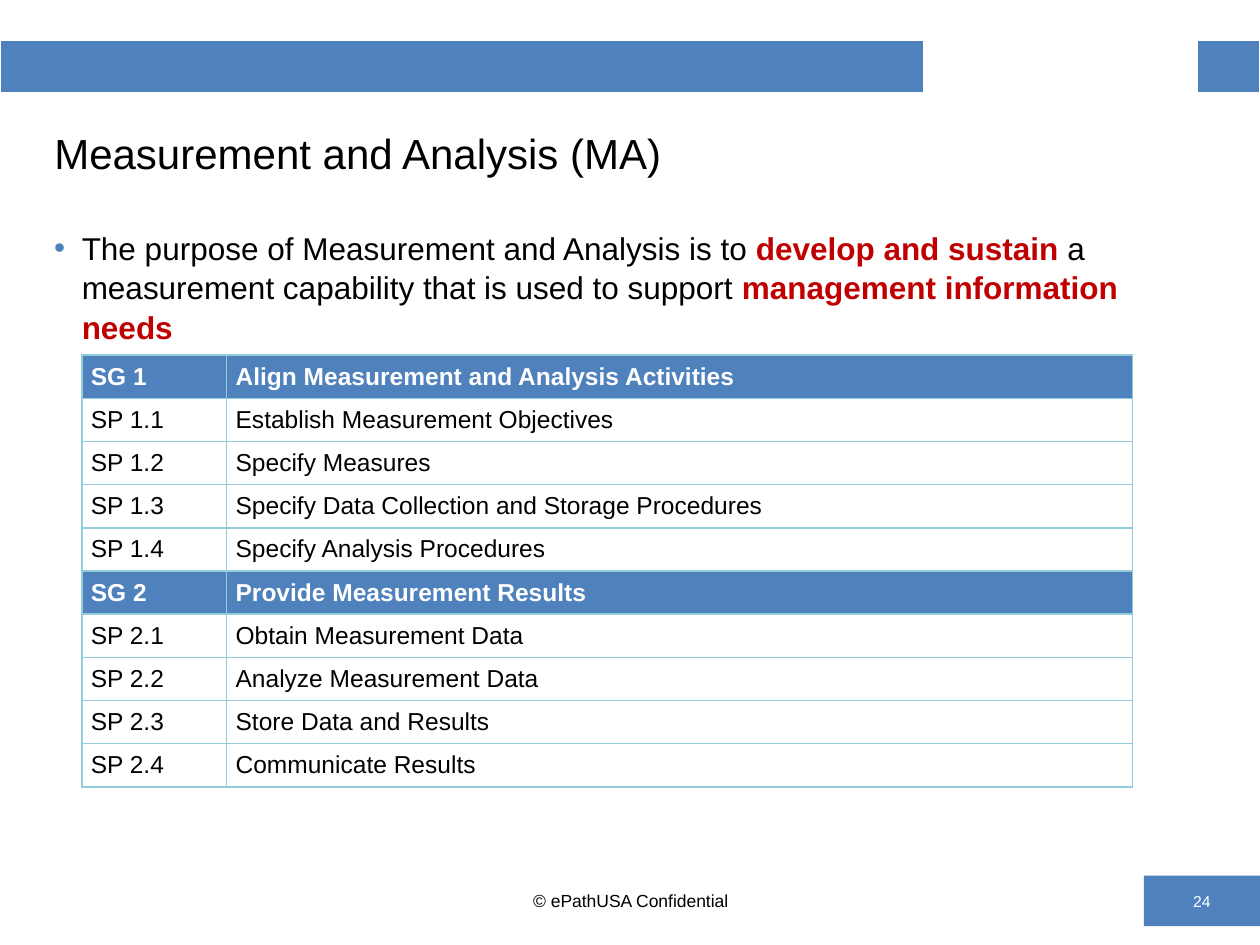
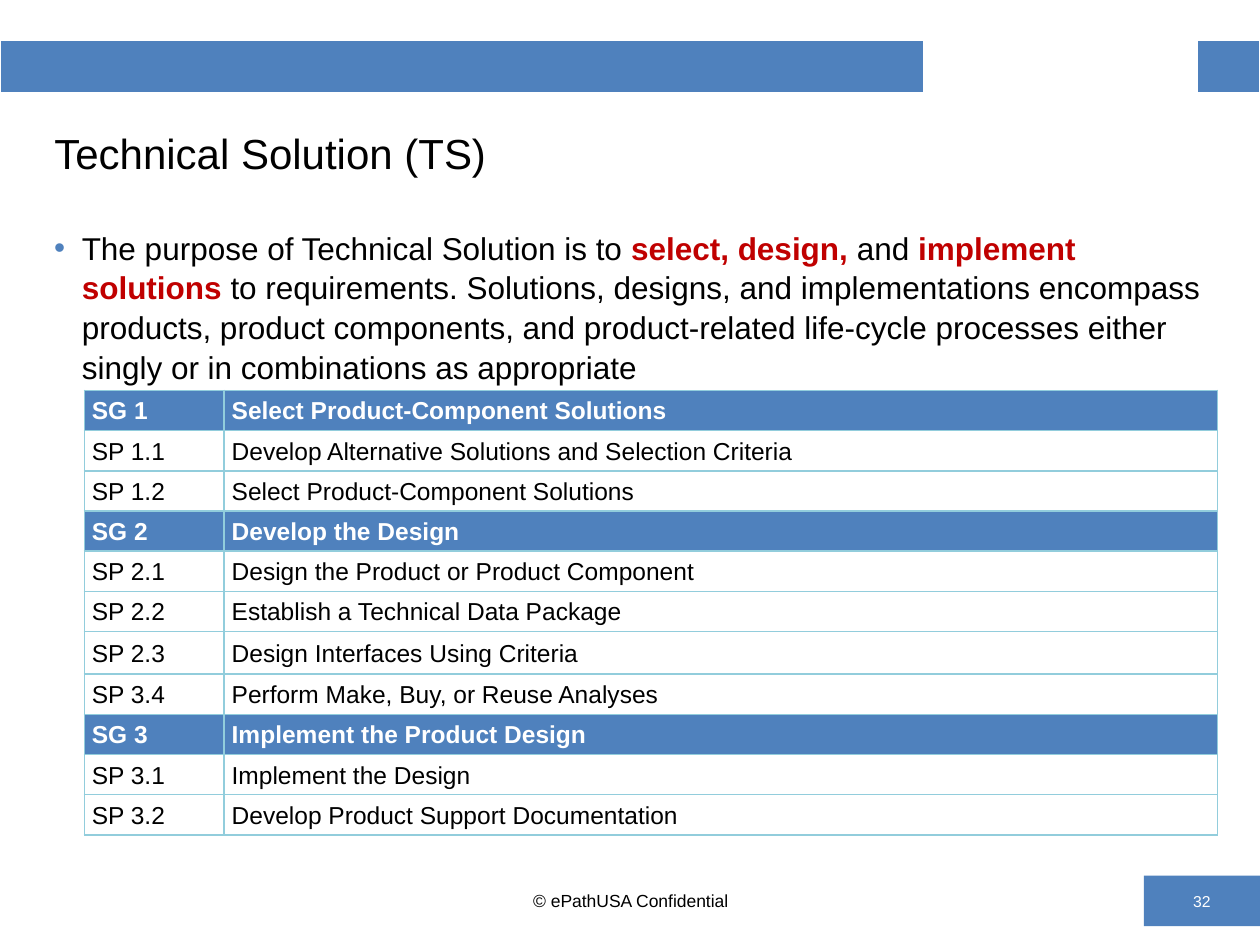
from lxml import etree
from pptx import Presentation
from pptx.dml.color import RGBColor
from pptx.enum.shapes import MSO_SHAPE
from pptx.enum.text import MSO_ANCHOR, MSO_AUTO_SIZE, PP_ALIGN
from pptx.oxml.ns import qn
from pptx.util import Cm, Pt

RECTANGLE = MSO_SHAPE.RECTANGLE
MIDDLE = MSO_ANCHOR.MIDDLE
LEFT, CENTER = PP_ALIGN.LEFT, PP_ALIGN.CENTER
NO_AUTOFIT = MSO_AUTO_SIZE.NONE
TITLE_ONLY = 5

BLUE, PALE_BLUE, RED = "4F81BD", "92CDDC", "C00000"
BLACK, WHITE = "000000", "FFFFFF"
FONT = "Arial"
FOOTER = "© ePathUSA Confidential"

MARGIN_LEFT, CONTENT_WIDTH = 0.84, 23.7
FOOTER_TOP, FOOTER_HEIGHT = 17.65, 1.02


def rgb(color):
    return RGBColor.from_string(color)


def box(*lengths):
    return [Cm(length) for length in lengths]


def add_text(paragraph, text, size=14, color=BLACK, bold=False):
    run = paragraph.add_run()
    run.text = text
    font = run.font
    font.name, font.size, font.bold = FONT, Pt(size), bold
    font.color.rgb = rgb(color)


def set_margins(target, horizontal, vertical):
    """Set the insets of a text frame or a table cell."""
    target.margin_left = target.margin_right = Cm(horizontal)
    target.margin_top = target.margin_bottom = Cm(vertical)


def set_bullet(paragraph, color, indent):
    properties = paragraph._p.get_or_add_pPr()
    properties.set("marL", str(Cm(indent)))
    properties.set("indent", str(-Cm(indent)))
    bullet_color = etree.SubElement(properties, qn("a:buClr"))
    etree.SubElement(bullet_color, qn("a:srgbClr"), val=color)
    etree.SubElement(properties, qn("a:buFont"), typeface=FONT)
    etree.SubElement(properties, qn("a:buChar"), char="•")


def style_cell(cell, fill, border, bottom_width=1):
    properties = cell._tc.get_or_add_tcPr()
    for side in "LRTB":
        width = bottom_width if side == "B" else 1
        line = etree.SubElement(properties, qn(f"a:ln{side}"), w=str(Pt(width)))
        solid = etree.SubElement(line, qn("a:solidFill"))
        etree.SubElement(solid, qn("a:srgbClr"), val=border)
    if fill:
        cell.fill.solid()
        cell.fill.fore_color.rgb = rgb(fill)
    else:
        cell.fill.background()


class ProcessAreaDeck:
    def __init__(self):
        self.presentation = Presentation()
        self.presentation.slide_width = Cm(25.4)
        self.presentation.slide_height = Cm(19.05)
        self.slide = None

    def start_slide(self, title, page):
        layout = self.presentation.slide_layouts[TITLE_ONLY]
        self.slide = self.presentation.slides.add_slide(layout)
        self.add_band()
        self.add_page_number(page)
        self.add_title(title)
        self.add_footer()

    def add_grid(self, left, top, widths, heights):
        """Add a table without the automatic banding."""
        frame = self.slide.shapes.add_table(
            len(heights), len(widths),
            *box(left, top, sum(widths), sum(heights)))
        table = frame.table
        table.first_row = table.horz_banding = False
        for column, width in zip(table.columns, widths):
            column.width = Cm(width)
        for row, height in zip(table.rows, heights):
            row.height = Cm(height)
        return table

    def add_band(self):
        band = self.add_grid(0, 0.81, [18.62, 5.51, 1.27], [1.09])
        for cell, fill in zip(band.rows[0].cells, [BLUE, None, BLUE]):
            style_cell(cell, fill, WHITE, bottom_width=3)

    def add_page_number(self, page):
        shape = self.slide.shapes.add_shape(
            RECTANGLE, *box(23.06, FOOTER_TOP, 2.34, FOOTER_HEIGHT))
        shape.shadow.inherit = False
        shape.fill.solid()
        shape.fill.fore_color.rgb = rgb(BLUE)
        shape.line.fill.background()
        frame = shape.text_frame
        frame.vertical_anchor = MIDDLE
        set_margins(frame, 0.18, 0.1)
        frame.paragraphs[0].alignment = CENTER
        add_text(frame.paragraphs[0], str(page), size=9, color=WHITE)

    def add_title(self, title):
        shape = self.slide.shapes.title
        shape.left, shape.top, shape.width, shape.height = box(
            MARGIN_LEFT, 2.16, CONTENT_WIDTH, 1.85)
        frame = shape.text_frame
        frame.auto_size = NO_AUTOFIT
        frame.vertical_anchor = MIDDLE
        frame.paragraphs[0].alignment = LEFT
        add_text(frame.paragraphs[0], title, size=24)

    def add_text_box(self, left, top, width, height):
        shape = self.slide.shapes.add_textbox(*box(left, top, width, height))
        shape.text_frame.word_wrap = True
        return shape.text_frame

    def add_footer(self):
        frame = self.add_text_box(8.69, FOOTER_TOP, 8.05, FOOTER_HEIGHT)
        frame.vertical_anchor = MIDDLE
        frame.paragraphs[0].alignment = CENTER
        add_text(frame.paragraphs[0], FOOTER, size=10)

    def add_purpose(self, *parts):
        """Add the bulleted purpose; every second part is emphasised."""
        frame = self.add_text_box(MARGIN_LEFT, 4.45, CONTENT_WIDTH, 12.93)
        paragraph = frame.paragraphs[0]
        paragraph.line_spacing = 1.05
        set_bullet(paragraph, BLUE, 0.56)
        for index, part in enumerate(parts):
            emphasised = index % 2 == 1
            add_text(paragraph, part, size=18, bold=emphasised,
                     color=RED if emphasised else BLACK)

    def add_practices(self, practices, left, top, widths, heights, margins,
                      line_spacing=1.0):
        """Add the table of specific goals (SG) and practices (SP)."""
        table = self.add_grid(left, top, widths, heights)
        for row, texts in zip(table.rows, practices):
            is_goal = texts[0].startswith("SG")
            for cell, text in zip(row.cells, texts):
                style_cell(cell, BLUE if is_goal else None, PALE_BLUE)
                cell.vertical_anchor = MIDDLE
                set_margins(cell, *margins)
                paragraph = cell.text_frame.paragraphs[0]
                paragraph.line_spacing = line_spacing
                add_text(paragraph, text, bold=is_goal,
                         color=WHITE if is_goal else BLACK)


MEASUREMENT_PRACTICES = [
    ("SG 1", "Align Measurement and Analysis Activities"),
    ("SP 1.1", "Establish Measurement Objectives"),
    ("SP 1.2", "Specify Measures"),
    ("SP 1.3", "Specify Data Collection and Storage Procedures"),
    ("SP 1.4", "Specify Analysis Procedures"),
    ("SG 2", "Provide Measurement Results"),
    ("SP 2.1", "Obtain Measurement Data"),
    ("SP 2.2", "Analyze Measurement Data"),
    ("SP 2.3", "Store Data and Results"),
    ("SP 2.4", "Communicate Results"),
]
SOLUTION_PRACTICES = [
    ("SG 1", "Select Product-Component Solutions"),
    ("SP 1.1", "Develop Alternative Solutions and Selection Criteria"),
    ("SP 1.2", "Select Product-Component Solutions"),
    ("SG 2", "Develop the Design"),
    ("SP 2.1", "Design the Product or Product Component"),
    ("SP 2.2", "Establish a Technical Data Package"),
    ("SP 2.3", "Design Interfaces Using Criteria"),
    ("SP 3.4", "Perform Make, Buy, or Reuse Analyses"),
    ("SG 3", "Implement the Product Design"),
    ("SP 3.1", "Implement the Design"),
    ("SP 3.2", "Develop Product Support Documentation"),
]


def main():
    deck = ProcessAreaDeck()

    deck.start_slide("Measurement and Analysis (MA)", 24)
    deck.add_purpose(
        "The purpose of Measurement and Analysis is to ",
        "develop and sustain ",
        "a measurement capability that is used to support ",
        "management information needs")
    deck.add_practices(MEASUREMENT_PRACTICES, 1.65, 7.16, [2.92, 18.26],
                       [0.87] * 10, margins=(0.18, 0.1))

    deck.start_slide("Technical Solution (TS)", 32)
    deck.add_purpose(
        "The purpose of Technical Solution is to ",
        "select, design, ",
        "and",
        " implement solutions",
        " to requirements. Solutions, designs, and implementations encompass "
        "products, product components, and product-related life-cycle "
        "processes either singly or in combinations as appropriate")
    deck.add_practices(SOLUTION_PRACTICES, 1.7, 7.87, [2.82, 20.02],
                       [0.81] * 6 + [0.86] + [0.81] * 4,
                       margins=(0.15, 0.08), line_spacing=1.07)

    deck.presentation.save("out.pptx")


if __name__ == "__main__":
    main()
